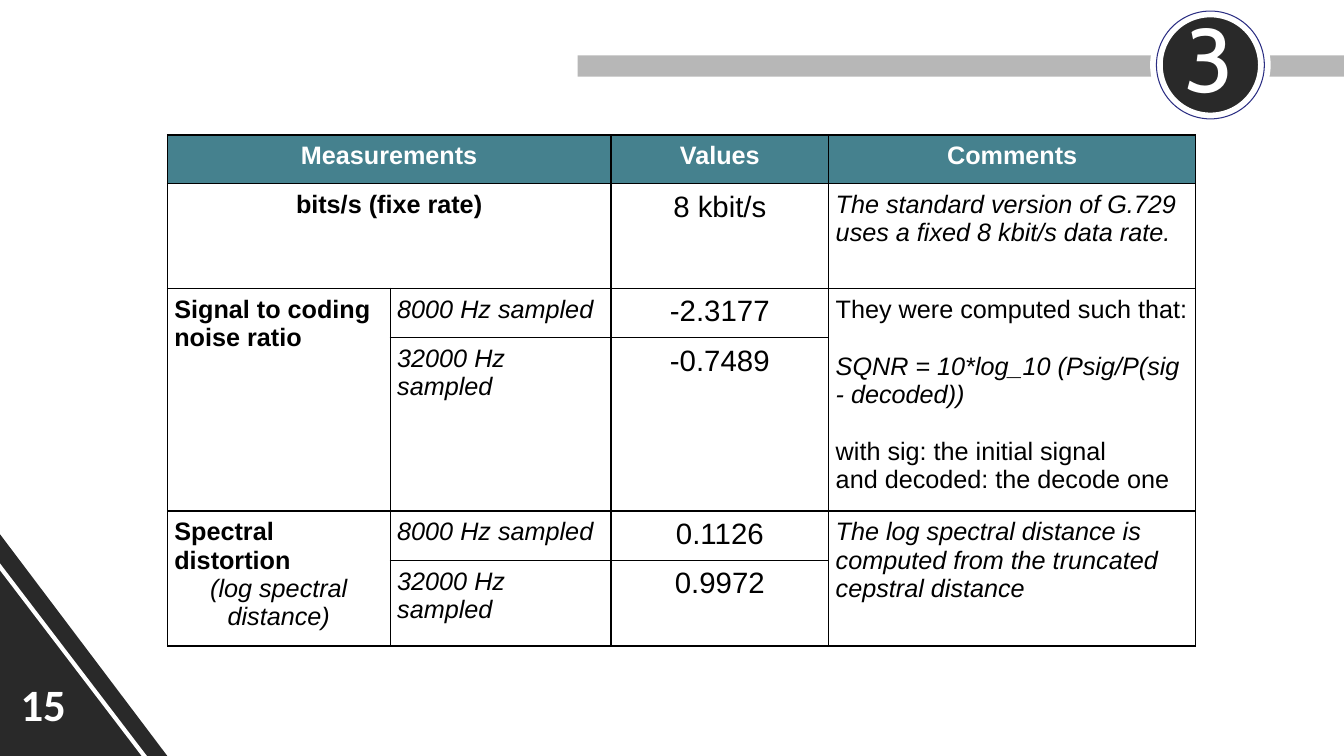
from dataclasses import dataclass

from lxml.etree import SubElement
from pptx import Presentation
from pptx.dml.color import RGBColor as Rgb
from pptx.enum.shapes import MSO_CONNECTOR as Connector, MSO_SHAPE as Shape
from pptx.enum.text import MSO_ANCHOR as Anchor, PP_ALIGN as Align
from pptx.oxml.ns import qn
from pptx.util import Pt

EMU_PER_PX = 9144  # 100 px to the inch


@dataclass(frozen=True)
class Theme:
    dark: Rgb = Rgb(0x29, 0x29, 0x29)
    bar: Rgb = Rgb(0xB7, 0xB7, 0xB7)
    header: Rgb = Rgb(0x45, 0x81, 0x8E)
    ring: Rgb = Rgb(0x2B, 0x2E, 0x83)
    white: Rgb = Rgb(0xFF, 0xFF, 0xFF)
    black: Rgb = Rgb(0, 0, 0)
    body: Pt = Pt(18)
    value: Pt = Pt(21)
    page: Pt = Pt(32)
    badge: Pt = Pt(64)
    paragraph_gap: Pt = Pt(20.5)


THEME = Theme()

CELL_FONT = {"name": "Arial", "size": THEME.body, "bold": False, "italic": False}
PLAIN = (CELL_FONT, {"alignment": Align.LEFT})
SPACED = (CELL_FONT, {"alignment": Align.LEFT, "space_before": THEME.paragraph_gap})
ITALIC = (CELL_FONT | {"italic": True}, {"alignment": Align.LEFT})
SPACED_ITALIC = (ITALIC[0], SPACED[1])
CENTRED_ITALIC = (ITALIC[0], {"alignment": Align.CENTER})
LABEL = (CELL_FONT | {"bold": True}, {"alignment": Align.LEFT})
HEADING = (LABEL[0], {"alignment": Align.CENTER})
VALUE = (CELL_FONT | {"size": THEME.value}, {"alignment": Align.CENTER})

COLUMN_WIDTHS = (221, 219, 216, 364)
ROW_HEIGHTS = (48, 104, 48, 166, 48, 77)
MERGES = (((0, 0), (0, 1)), ((1, 0), (1, 1)), ((2, 0), (3, 0)),
          ((2, 3), (3, 3)), ((4, 0), (5, 0)), ((4, 3), (5, 3)))
CELLS = {
    (0, 0): [("Measurements", HEADING)],
    (0, 2): [("Values", HEADING)],
    (0, 3): [("Comments", HEADING)],
    (1, 0): [("bits/s (fixe rate)", HEADING)],
    (1, 2): [("8 kbit/s", VALUE)],
    (1, 3): [("The standard version of G.729 uses a fixed 8 kbit/s data rate.", ITALIC)],
    (2, 0): [("Signal to coding noise ratio", LABEL)],
    (2, 1): [("8000 Hz sampled", ITALIC)],
    (2, 2): [("-2.3177", VALUE)],
    (2, 3): [("They were computed such that:", PLAIN),
             ("SQNR = 10*log_10 (Psig/P(sig - decoded))", SPACED_ITALIC),
             ("with sig: the initial signal", SPACED),
             ("and decoded: the decode one", PLAIN)],
    (3, 1): [("32000 Hz sampled", ITALIC)],
    (3, 2): [("-0.7489", VALUE)],
    (4, 0): [("Spectral distortion", LABEL),
             ("(log spectral distance)", CENTRED_ITALIC)],
    (4, 1): [("8000 Hz sampled", ITALIC)],
    (4, 2): [("0.1126", VALUE)],
    (4, 3): [("The log spectral distance is computed from the truncated "
              "cepstral distance", ITALIC)],
    (5, 1): [("32000 Hz sampled", ITALIC)],
    (5, 2): [("0.9972", VALUE)],
}


def px(*lengths):
    return [length * EMU_PER_PX for length in lengths]


def set_all(target, values):
    for attribute, value in values.items():
        setattr(target, attribute, value)


def margins(length):
    sides = ("left", "right", "top", "bottom")
    return {f"margin_{side}": length * EMU_PER_PX for side in sides}


def write(frame, paragraphs, color):
    """Fill a text frame from (text, (font values, paragraph values)) pairs."""
    for index, (text, (font, layout)) in enumerate(paragraphs):
        paragraph = frame.add_paragraph() if index else frame.paragraphs[0]
        set_all(paragraph, layout)
        run = paragraph.add_run()
        run.text = text
        set_all(run.font, font)
        run.font.color.rgb = color


def add_figure(slide, preset, box, fill=None, line=None, weight=0):
    figure = slide.shapes.add_shape(preset, *px(*box))
    figure.shadow.inherit = False
    for paint, color in ((figure.fill, fill), (figure.line.fill, line)):
        if color is None:
            paint.background()
        else:
            paint.solid()
            paint.fore_color.rgb = color
    if line is not None:
        figure.line.width = Pt(weight)


def add_stripe(slide, start, end):
    stripe = slide.shapes.add_connector(Connector.STRAIGHT, *px(*start, *end))
    stripe.line.color.rgb = THEME.white
    stripe.line.width = Pt(3)
    SubElement(stripe._element.spPr, qn("a:effectLst"))


def add_number(slide, text, box, font, frame_values):
    frame = slide.shapes.add_textbox(*px(*box)).text_frame
    set_all(frame, {"word_wrap": True} | frame_values)
    write(frame, [(text, (font, {"alignment": Align.CENTER}))], THEME.white)


def add_borders(cell):
    properties = cell._tc.get_or_add_tcPr()
    for side in ("lnL", "lnR", "lnT", "lnB"):
        border = SubElement(properties, qn(f"a:{side}"), w=str(Pt(1)))
        paint = SubElement(border, qn("a:solidFill"))
        SubElement(paint, qn("a:srgbClr"), val=str(THEME.black))


def add_measurements(slide, left, top):
    size = sum(COLUMN_WIDTHS), sum(ROW_HEIGHTS)
    table = slide.shapes.add_table(len(ROW_HEIGHTS), len(COLUMN_WIDTHS),
                                   *px(left, top, *size)).table
    set_all(table, {"first_row": False, "horz_banding": False})
    for column, width in zip(table.columns, px(*COLUMN_WIDTHS)):
        column.width = width
    for row, height in zip(table.rows, px(*ROW_HEIGHTS)):
        row.height = height
    for first, last in MERGES:
        table.cell(*first).merge(table.cell(*last))
    for row in range(len(ROW_HEIGHTS)):
        for column in range(len(COLUMN_WIDTHS)):
            cell = table.cell(row, column)
            set_all(cell, margins(7))
            add_borders(cell)
            if row == 0:
                cell.fill.solid()
                cell.fill.fore_color.rgb = THEME.header
            else:
                cell.fill.background()
            write(cell.text_frame, CELLS.get((row, column), []),
                  THEME.black if row else THEME.white)


def main():
    deck = Presentation()
    deck.slide_width, deck.slide_height = px(1333, 750)
    slide = deck.slides.add_slide(deck.slide_layouts[6])

    add_figure(slide, Shape.RIGHT_TRIANGLE, (0, 530, 166, 220), fill=THEME.dark)
    add_stripe(slide, (-69, 472), (195, 818))
    add_number(slide, "15", (3, 670, 80, 57),
               {"name": "Calibri", "size": THEME.page, "bold": True},
               margins(10) | {"vertical_anchor": Anchor.MIDDLE})

    badge = (1147, 11, 107, 107)
    add_figure(slide, Shape.RECTANGLE, (573, 55, 760, 21), fill=THEME.bar)
    add_figure(slide, Shape.OVAL, badge, THEME.dark, THEME.white, 9)
    add_number(slide, "3", (1162, -10, 75, 65),
               {"name": "Cabin", "size": THEME.badge},
               margins(13) | {"vertical_anchor": Anchor.TOP})
    add_figure(slide, Shape.OVAL, badge, line=THEME.ring, weight=0.75)

    add_measurements(slide, 166, 134)
    deck.save("out.pptx")


if __name__ == "__main__":
    main()
